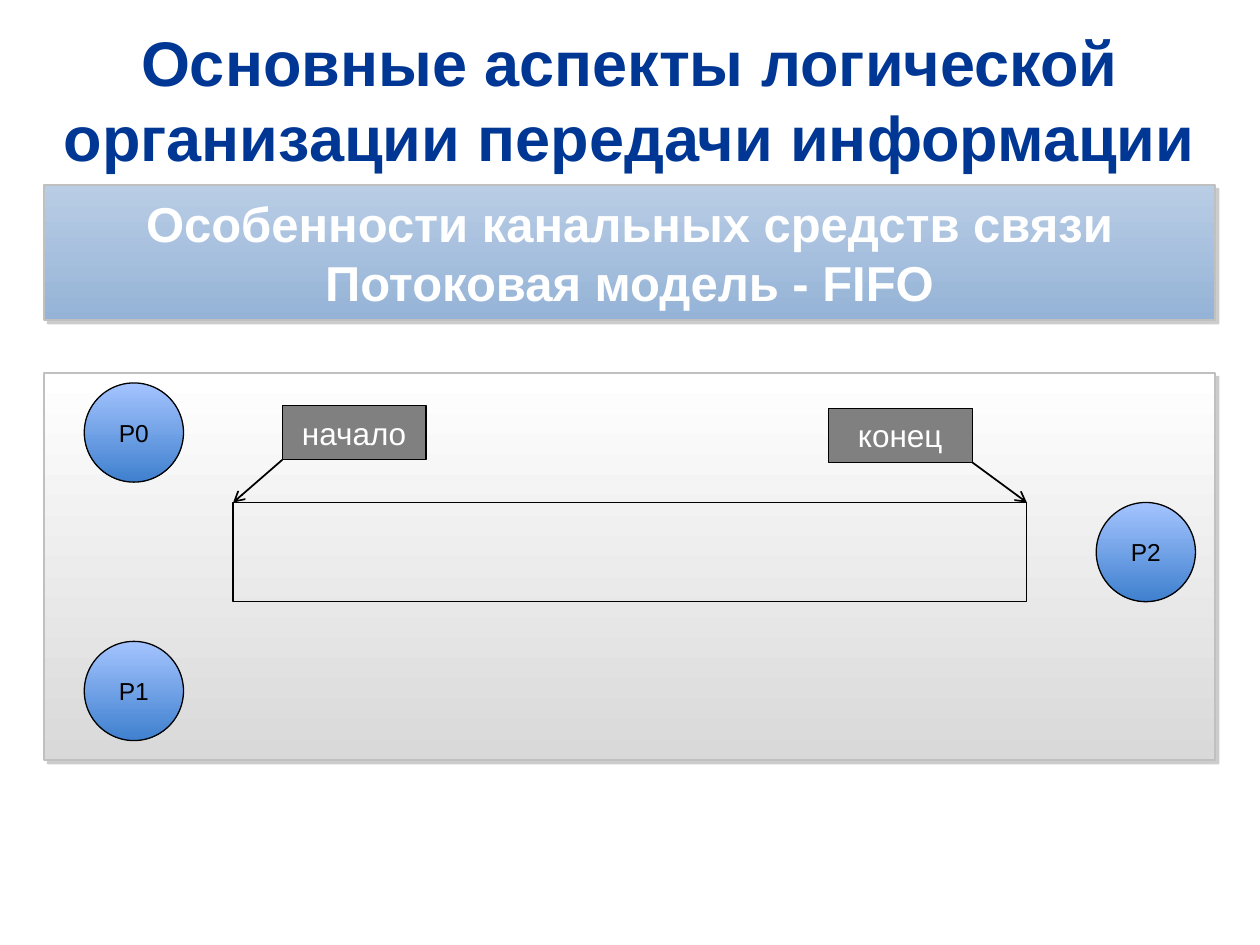
import pptx
import pptx.dml.color
import pptx.enum.shapes
import pptx.enum.text
import pptx.oxml
import pptx.oxml.ns
import pptx.util
from pptx.util import Cm

RECTANGLE = pptx.enum.shapes.MSO_SHAPE.RECTANGLE
OVAL = pptx.enum.shapes.MSO_SHAPE.OVAL
NAMESPACE = pptx.oxml.ns.nsdecls("a")
MARGIN, CONTENT_WIDTH = 0.89, 23.6
QUEUE_LEFT, QUEUE_TOP, QUEUE_WIDTH, QUEUE_HEIGHT = 4.7, 10.13, 16, 2
LABEL_WIDTH, LABEL_HEIGHT = 2.9, 1.09
PROCESS_SIZE = 2


def color(value):
    """Return the colour for a hex string."""
    return pptx.dml.color.RGBColor.from_string(value)


def set_text(shape, text, size, text_color, bold=False, wrap=False):
    """Write centred Arial text into a shape."""
    frame = shape.text_frame
    frame.text = text
    frame.word_wrap = wrap
    frame.vertical_anchor = pptx.enum.text.MSO_ANCHOR.MIDDLE
    for paragraph in frame.paragraphs:
        paragraph.alignment = pptx.enum.text.PP_ALIGN.CENTER
        for run in paragraph.runs:
            run.font.name = "Arial"
            run.font.size = pptx.util.Pt(size)
            run.font.bold = bold
            run.font.color.rgb = color(text_color)


def add_box(slide, kind, left, top, width, height, fills=(), line="000000", line_width=0.75):
    """Add an outlined shape with no fill, a plain fill or a vertical gradient."""
    shape = slide.shapes.add_shape(kind, Cm(left), Cm(top), Cm(width), Cm(height))
    if len(fills) == 2:
        shape.fill.gradient()
        shape.fill.gradient_angle = 270
        for stop, value in zip(shape.fill.gradient_stops, fills):
            stop.color.rgb = color(value)
    elif fills:
        shape.fill.solid()
        shape.fill.fore_color.rgb = color(fills[0])
    else:
        shape.fill.background()
    shape.line.color.rgb = color(line)
    shape.line.width = pptx.util.Pt(line_width)
    shape.shadow.inherit = False
    return shape


def add_panel(slide, top, height, fills):
    """Add a full-width gradient panel with a hard grey shadow."""
    panel = add_box(slide, RECTANGLE, MARGIN, top, CONTENT_WIDTH, height, fills, "C0C0C0", 1)
    effects = panel.element.spPr.find(pptx.oxml.ns.qn("a:effectLst"))
    effects.append(pptx.oxml.parse_xml(
        f'<a:outerShdw {NAMESPACE} dist="38100" dir="2700000" algn="ctr" rotWithShape="0">'
        '<a:srgbClr val="808080"><a:alpha val="40000"/></a:srgbClr></a:outerShdw>'))
    return panel


def add_process(slide, name, left, top):
    """Add a process circle."""
    circle = add_box(slide, OVAL, left, top, PROCESS_SIZE, PROCESS_SIZE, ("A4C4FF", "3F80CE"))
    set_text(circle, name, 14, "000000")


def add_pointer(slide, text, left, top, corner, target):
    """Add a label with an arrow from its lower corner to an end of the queue."""
    label = add_box(slide, RECTANGLE, left, top, LABEL_WIDTH, LABEL_HEIGHT, ("808080",))
    set_text(label, text, 18, "FFFFFF")
    arrow = slide.shapes.add_connector(
        pptx.enum.shapes.MSO_CONNECTOR.STRAIGHT,
        Cm(corner), Cm(top + LABEL_HEIGHT), Cm(target), Cm(QUEUE_TOP))
    arrow.line.color.rgb = color("000000")
    arrow.line.width = pptx.util.Pt(1)
    arrow.line._get_or_add_ln().append(
        pptx.oxml.parse_xml(f'<a:tailEnd {NAMESPACE} type="arrow"/>'))
    arrow.element.spPr.append(pptx.oxml.parse_xml(f"<a:effectLst {NAMESPACE}/>"))


def add_title(slide, text):
    """Place and format the slide title."""
    title = slide.shapes.title
    title.left, title.top = Cm(MARGIN), Cm(0.66)
    title.width, title.height = Cm(CONTENT_WIDTH), Cm(2.67)
    set_text(title, text, 36, "003794", bold=True, wrap=True)


def add_banner(slide, text):
    """Add the subtitle banner."""
    banner = add_panel(slide, 3.73, 2.72, ("B9CDE5", "95B3D7"))
    set_text(banner, text, 28, "FFFFFF", bold=True, wrap=True)
    frame = banner.text_frame
    frame.margin_left = frame.margin_right = Cm(0.6)
    frame.margin_top = frame.margin_bottom = Cm(0.1)


def main():
    """Build the slide on the FIFO stream model."""
    presentation = pptx.Presentation()
    presentation.slide_width, presentation.slide_height = Cm(25.4), Cm(19.05)
    slide = presentation.slides.add_slide(presentation.slide_layouts[5])
    add_title(slide, "Основные аспекты логической организации передачи информации")
    add_banner(slide, "Особенности канальных средств связи\nПотоковая модель - FIFO")
    add_panel(slide, 7.52, 7.8, ("FFFFFF", "D9D9D9"))
    add_box(slide, RECTANGLE, QUEUE_LEFT, QUEUE_TOP, QUEUE_WIDTH, QUEUE_HEIGHT)
    for name, left, top in (("P0", 1.7, 7.72), ("P1", 1.7, 12.93), ("P2", 22.1, QUEUE_TOP)):
        add_process(slide, name, left, top)
    start_left, end_left = 5.69, 16.7
    add_pointer(slide, "начало", start_left, 8.18, start_left, QUEUE_LEFT)
    add_pointer(slide, "конец", end_left, 8.23, end_left + LABEL_WIDTH, QUEUE_LEFT + QUEUE_WIDTH)
    presentation.save("out.pptx")


if __name__ == "__main__":
    main()
